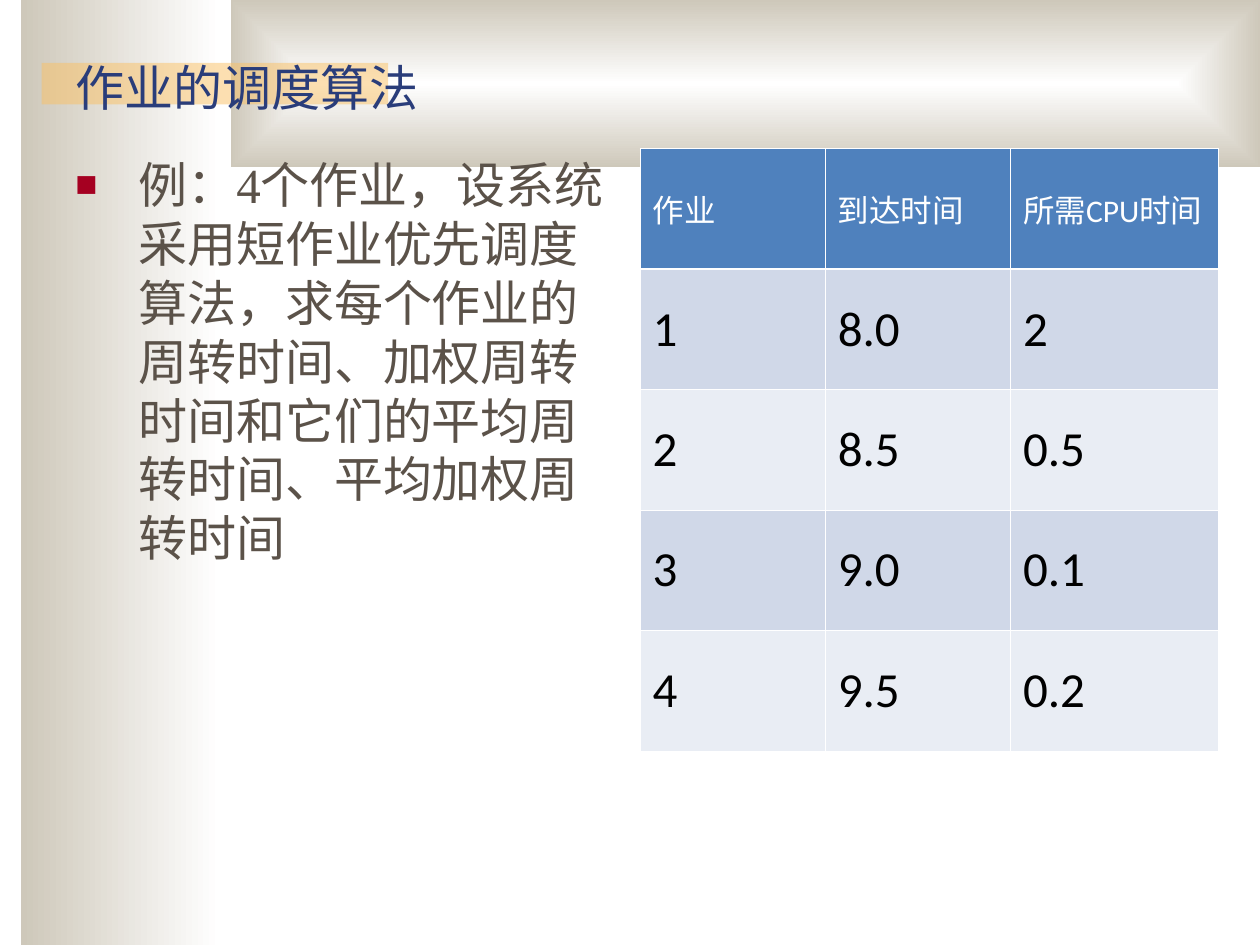
"""Build the job scheduling slide with its example and job table."""
from dataclasses import dataclass

from lxml import etree
from pptx import Presentation
from pptx import util as u
from pptx.dml.color import RGBColor
from pptx.enum import shapes, text
from pptx.oxml import parse_xml
from pptx.oxml.ns import nsdecls, qn

SERIF, SANS = "Times New Roman", "Calibri"
WHITE, SAND = "FFFFFF", "CEC8BA"
HEADER_FILL, ROW_FILLS = "4F81BD", ("D0D8E8", "E9EDF4")
LINEAR = '<a:lin ang="10800000" scaled="0"/>'
RECTANGULAR = ('<a:path path="rect"><a:fillToRect l="50000" t="50000" '
               'r="50000" b="50000"/></a:path>')
JOBS = [
    ("作业", "到达时间", "所需CPU时间"),
    ("1", "8.0", "2"),
    ("2", "8.5", "0.5"),
    ("3", "9.0", "0.1"),
    ("4", "9.5", "0.2"),
]
EXAMPLE = ("例：4个作业，设系统采用短作业优先调度算法，求每个作业的周转时间、"
           "加权周转时间和它们的平均周转时间、平均加权周转时间")


@dataclass
class Band:
    left: float
    top: float
    width: float
    height: float
    gradient: str = ""
    color: str = SAND


BANDS = [
    Band(0.17, 0, 1.58, 7.5, LINEAR),
    Band(1.83, 0, 8.17, 1.33, RECTANGULAR),
    Band(0.33, 0.5, 2.75, 0.33, color="FAC164"),
]


def rgb(value: str) -> RGBColor:
    return RGBColor.from_string(value)


def place(shape, left: float, top: float, width: float, height: float) -> None:
    box = dict(left=left, top=top, width=width, height=height)
    for key, value in box.items():
        setattr(shape, key, u.Inches(value))


def write(tf, words: str, size: float, color: str, font: str, before: float = 0):
    p = tf.paragraphs[0]
    p.alignment = text.PP_ALIGN.LEFT
    p.space_before = u.Pt(before)
    r = p.add_run()
    r.text = words
    for key, value in dict(size=u.Pt(size), name=font, bold=False).items():
        setattr(r.font, key, value)
    r.font.color.rgb = rgb(color)
    return p


def add_band(s, band: Band) -> None:
    sp = s.shapes.add_shape(
        shapes.MSO_SHAPE.RECTANGLE,
        *map(u.Inches, (band.left, band.top, band.width, band.height)))
    sp.shadow.inherit = False
    sp.line.fill.background()
    sp.fill.solid()
    sp.fill.fore_color.rgb = rgb(band.color)
    solid = sp.element.spPr.find(qn("a:solidFill"))
    if band.gradient:
        solid.getparent().replace(solid, parse_xml(
            f'<a:gradFill {nsdecls("a")} rotWithShape="1"><a:gsLst>'
            f'<a:gs pos="0"><a:srgbClr val="{WHITE}"/></a:gs>'
            f'<a:gs pos="100000"><a:srgbClr val="{band.color}"/></a:gs>'
            f'</a:gsLst>{band.gradient}</a:gradFill>'))
    else:
        etree.SubElement(solid[0], qn("a:alpha"), val="50000")
    s.shapes.title.element.addprevious(sp.element)


def add_title(s) -> None:
    sp = s.shapes.title
    place(sp, 0.5, 0.35, 9, 0.62)
    tf = sp.text_frame
    settings = dict(vertical_anchor=text.MSO_ANCHOR.BOTTOM, word_wrap=True,
                    auto_size=text.MSO_AUTO_SIZE.NONE)
    for key, value in settings.items():
        setattr(tf, key, value)
    write(tf, "作业的调度算法", 28, "2A3D7A", SERIF)


def add_example(s) -> None:
    sp = s.shapes.add_textbox(*map(u.Inches, (0.5, 1.18, 4.42, 5.74)))
    tf = sp.text_frame
    tf.word_wrap = True
    p = write(tf, EXAMPLE, 28, "5B5249", SERIF, 7)
    pPr = p._p.get_or_add_pPr()
    pPr.set("marL", str(u.Inches(0.5)))
    pPr.set("indent", str(-u.Inches(0.5)))
    color = etree.SubElement(pPr, qn("a:buClr"))
    etree.SubElement(color, qn("a:srgbClr"), val="A50021")
    etree.SubElement(pPr, qn("a:buSzPct"), val="75000")
    etree.SubElement(pPr, qn("a:buFont"), typeface=SERIF)
    etree.SubElement(pPr, qn("a:buChar"), char="■")


def add_border(cell, side: str, width: float) -> None:
    line = etree.SubElement(cell._tc.get_or_add_tcPr(), qn(f"a:ln{side}"),
                            w=str(u.Pt(width)))
    fill = etree.SubElement(line, qn("a:solidFill"))
    etree.SubElement(fill, qn("a:srgbClr"), val=WHITE)


def format_cell(cell, row: int, words: str) -> None:
    header = row == 0
    heavy_side = {0: "B", 1: "T"}.get(row)
    for side in "LRTB":
        add_border(cell, side, 1.47 if side == heavy_side else 0.45)
    cell.fill.solid()
    cell.fill.fore_color.rgb = rgb(HEADER_FILL if header else ROW_FILLS[(row - 1) % 2])
    cell.vertical_anchor = text.MSO_ANCHOR.MIDDLE
    size, color, before = (18, WHITE, 4.5) if header else (28, "000000", 7)
    write(cell.text_frame, words, size, color, SANS, before)


def add_job_table(s) -> None:
    frame = s.shapes.add_table(len(JOBS), len(JOBS[0]),
                               *map(u.Inches, (5.08, 1.18, 4.59, 4.78)))
    table = frame.table
    for column, width in zip(table.columns, (1.47, 1.47, 1.65)):
        column.width = u.Inches(width)
    for i, job in enumerate(JOBS):
        for j, words in enumerate(job):
            format_cell(table.cell(i, j), i, words)


def main() -> None:
    prs = Presentation()
    prs.slide_width, prs.slide_height = u.Inches(10), u.Inches(7.5)
    s = prs.slides.add_slide(prs.slide_layouts[5])
    for band in BANDS:
        add_band(s, band)
    add_title(s)
    add_example(s)
    add_job_table(s)
    prs.save("out.pptx")


if __name__ == "__main__":
    main()
